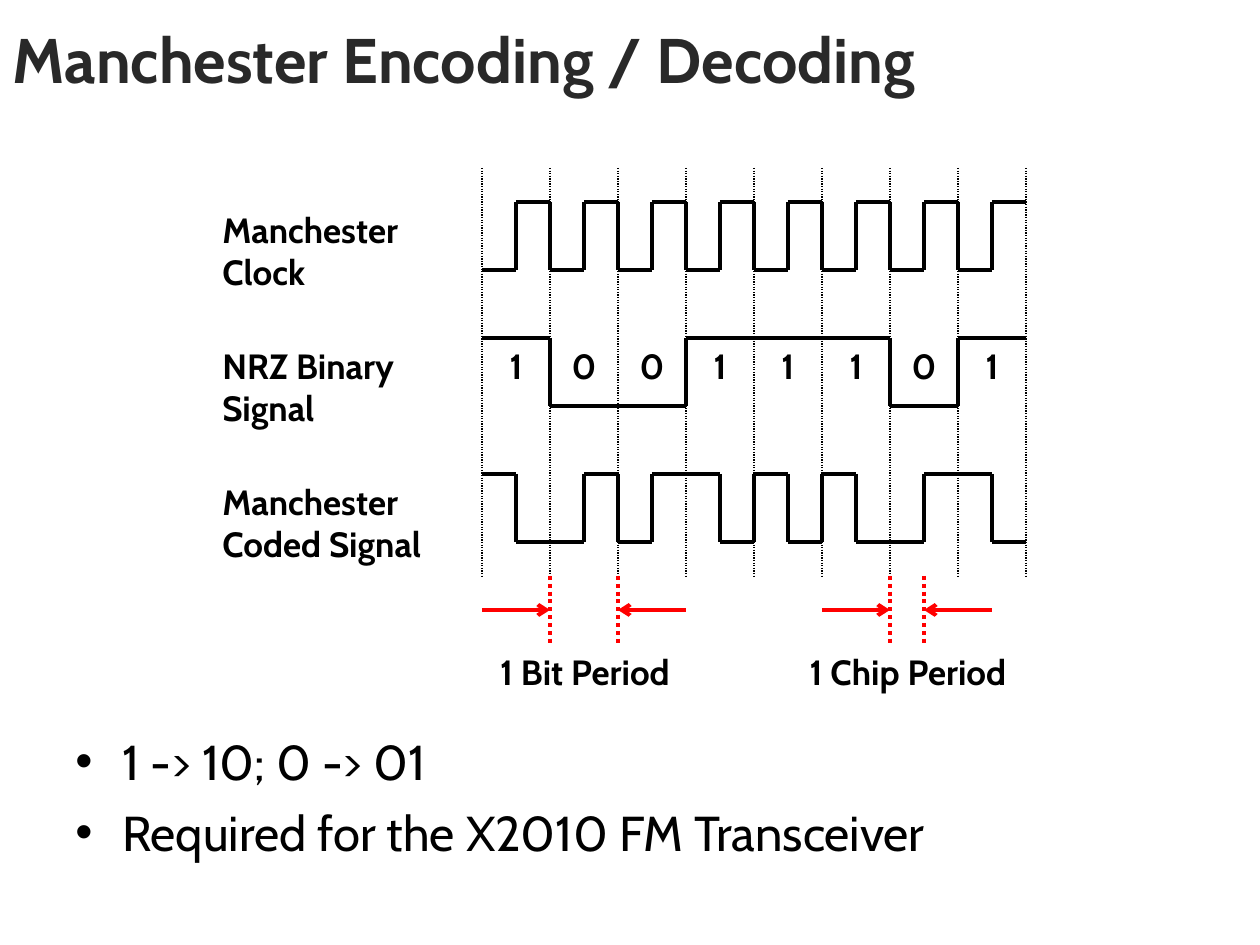
from itertools import groupby

from lxml import etree
from pptx import Presentation
from pptx.dml.color import RGBColor
from pptx.enum.dml import MSO_LINE
from pptx.enum.shapes import MSO_CONNECTOR
from pptx.enum.text import MSO_ANCHOR, MSO_AUTO_SIZE, PP_ALIGN
from pptx.oxml.ns import qn
from pptx.util import Emu, Pt

LEFT, CENTER = PP_ALIGN.LEFT, PP_ALIGN.CENTER
TOP, MIDDLE = MSO_ANCHOR.TOP, MSO_ANCHOR.MIDDLE
STRAIGHT = MSO_CONNECTOR.STRAIGHT
DOTTED = MSO_LINE.ROUND_DOT
PX = 914400 // 126
FONT, BLACK, RED, TITLE_GREY = "Cabin", "000000", "FF0000", "292929"

# Content: waveforms are strings of levels, one per half bit
TITLE = "Manchester Encoding / Decoding"
BITS = "10011101"
CODE = {"1": "10", "0": "01"}
SIGNALS = [
    ("Manchester Clock", "01" * len(BITS)),
    ("NRZ Binary Signal", "".join(bit * 2 for bit in BITS)),
    ("Manchester Coded Signal", "".join(CODE[bit] for bit in BITS)),
]
# Period label, first and last half bit, label left and width
PERIODS = [("1 Bit Period", 2, 4, 449, 272), ("1 Chip Period", 13 - 1, 13, 755, 306)]
POINTS = ["1 -> 10; 0 -> 01", "Required for the X2010 FM Transceiver"]

# Diagram grid in px
CHIP = 34
BIT = 2 * CHIP
WAVE_LEFT, WAVE_TOP, ROW_STEP = 482, 202, 2 * BIT
GRID_TOP, GRID_BOTTOM = 168, 576
LABEL_LEFT, LABEL_WIDTH, LABEL_HEIGHT = 210, 272, 102

deck = Presentation()
deck.slide_width, deck.slide_height = Emu(1260 * PX), Emu(945 * PX)
slide = deck.slides.add_slide(deck.slide_layouts[5])


def color(hex_code):
    return RGBColor.from_string(hex_code)


def add_bullet(paragraph):
    properties = paragraph._p.get_or_add_pPr()
    properties.set("marL", str(47 * PX))
    properties.set("indent", str(-47 * PX))
    etree.SubElement(properties, qn("a:buFont"), typeface="Arial")
    etree.SubElement(properties, qn("a:buChar"), char="•")


def put_text(lines, left, top, width, height, *, size=20, bold=True, ink=BLACK,
             align=LEFT, anchor=TOP, bullets=False, space_before=0, holder=None):
    if holder is None:
        holder = slide.shapes.add_textbox(0, 0, 0, 0)
    holder.left, holder.top = Emu(left * PX), Emu(top * PX)
    holder.width, holder.height = Emu(width * PX), Emu(height * PX)
    frame = holder.text_frame
    frame.word_wrap = True
    frame.auto_size = MSO_AUTO_SIZE.NONE
    frame.vertical_anchor = anchor
    for index, line in enumerate(lines):
        paragraph = frame.add_paragraph() if index else frame.paragraphs[0]
        paragraph.text = line
        paragraph.alignment = align
        if index:
            paragraph.space_before = Pt(space_before)
        if bullets:
            add_bullet(paragraph)
        font = paragraph.font
        font.name, font.size, font.bold = FONT, Pt(size), bold
        font.color.rgb = color(ink)


def draw_line(x1, y1, x2, y2, ink=BLACK, weight=2.25, dash=None, arrow=False):
    connector = slide.shapes.add_connector(
        STRAIGHT, *(Emu(value * PX) for value in (x1, y1, x2, y2)))
    line = connector.line
    line.color.rgb = color(ink)
    line.width = Pt(weight)
    if dash:
        line.dash_style = dash
    if arrow:
        etree.SubElement(line._get_or_add_ln(), qn("a:tailEnd"), type="arrow")
    etree.SubElement(connector._element.spPr, qn("a:effectLst"))


def draw_wave(levels, top):
    x, previous_y = WAVE_LEFT, None
    for level, run in groupby(levels):
        y = top if level == "1" else top + BIT
        end = x + CHIP * len(list(run))
        if previous_y is not None:
            draw_line(x, previous_y, x, y)
        draw_line(x, y, end, y)
        x, previous_y = end, y


# Title and bullet points
put_text([TITLE], 0, 0, 1260, 116, size=36, ink=TITLE_GREY, anchor=MIDDLE,
         holder=slide.shapes.title)
put_text(POINTS, 63, 725, 1134, 168, size=28, bold=False, bullets=True, space_before=7)

# Signals with their labels
for row, (label, levels) in enumerate(SIGNALS):
    row_top = WAVE_TOP + row * ROW_STEP
    put_text([label], LABEL_LEFT, row_top, LABEL_WIDTH, LABEL_HEIGHT)
    draw_wave(levels, row_top)

# Bit values inside the binary signal
for index, bit in enumerate(BITS):
    put_text([bit], WAVE_LEFT + index * BIT, WAVE_TOP + ROW_STEP, BIT, BIT, align=CENTER)

# Bit boundaries
for index in range(len(BITS) + 1):
    x = WAVE_LEFT + index * BIT
    draw_line(x, GRID_TOP, x, GRID_BOTTOM, weight=0.75, dash=DOTTED)

# Period markers: arrows point inward at two dotted limits
for label, first, last, label_left, label_width in PERIODS:
    for chip, outward in ((first, -BIT), (last, BIT)):
        x = WAVE_LEFT + chip * CHIP
        draw_line(x, GRID_BOTTOM, x, GRID_BOTTOM + BIT, ink=RED, dash=DOTTED)
        arrow_y = GRID_BOTTOM + CHIP
        draw_line(x + outward, arrow_y, x, arrow_y, ink=RED, arrow=True)
    put_text([label], label_left, GRID_BOTTOM + BIT, label_width, BIT, align=CENTER)

deck.save("out.pptx")
